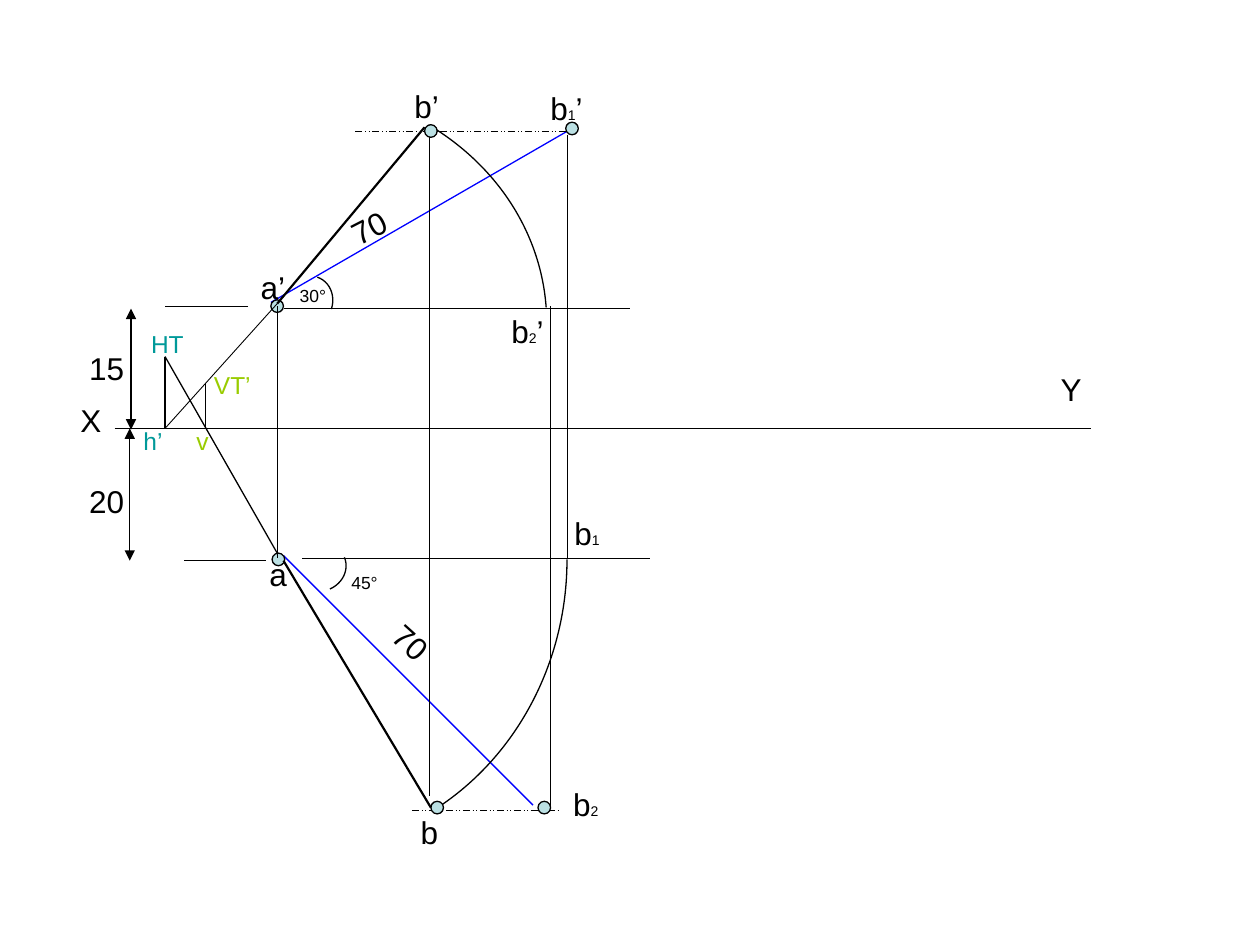
from dataclasses import dataclass

from lxml import etree
from pptx import Presentation
from pptx.dml.color import RGBColor
from pptx.enum.dml import MSO_LINE
from pptx.enum.shapes import MSO_CONNECTOR, MSO_SHAPE
from pptx.enum.text import MSO_AUTO_SIZE
from pptx.oxml.ns import qn
from pptx.util import Inches, Pt


@dataclass(frozen=True)
class Theme:
    font: str = "Arial"
    ink: str = "000000"
    true_length: str = "0000FF"
    horizontal_trace: str = "009999"
    vertical_trace: str = "99CC00"
    dot: str = "BBE0E3"
    label: int = 18
    trace: int = 14
    angle: int = 10
    subscript: int = 8
    thin: float = 0.5
    normal: float = 0.75
    bold: float = 1.25


THEME = Theme()
DOT_SIZE = 0.1
AXIS = 3.4

# Lines: start x, start y, end x, end y
LINES_BEHIND = {
    "normal": [
        (0.91, AXIS, 8.66, AXIS),
        (1.97, 2.43, 1.31, 2.43),
        (2.11, 4.45, 1.46, 4.45),
    ],
    "dimension": [(1.04, 2.45, 1.04, 3.41), (1.03, AXIS, 1.03, 4.45)],
    "true_length": [(2.15, 2.4, 4.54, 1.02), (2.25, 4.41, 4.23, 6.39)],
    "thin": [
        (2.25, 2.45, 5, 2.45),
        (2.4, 4.43, 5.16, 4.43),
        (4.5, 1.07, 4.5, 4.43),
        (3.41, 1.04, 3.41, 6.32),
        (4.37, 2.43, 4.37, 6.4),
    ],
    "locus": [(3.27, 6.43, 4.45, 6.43), (2.82, 1.04, 4.59, 1.04)],
}
LINES_FRONT = {
    "bold": [(2.25, 4.45, 3.42, 6.41), (2.2, 2.41, 3.37, 1.01)],
    "normal": [
        (2.2, 2.43, 2.2, 4.43),
        (2.2, 4.39, 1.31, 2.83),
        (1.31, AXIS, 1.31, 2.83),
        (1.63, AXIS, 1.63, 3.04),
    ],
    "thin": [(2.2, 2.41, 1.31, AXIS)],
}
LINE_STYLES = {
    "normal": (THEME.ink, THEME.normal),
    "dimension": (THEME.ink, THEME.normal),
    "true_length": (THEME.true_length, THEME.normal),
    "thin": (THEME.ink, THEME.thin),
    "locus": (THEME.ink, THEME.thin),
    "bold": (THEME.ink, THEME.bold),
}

# Arcs: left, top, width, height, rotation, start angle, end angle
ARCS = [
    (2.27, 2.19, 0.37, 0.41, 18.3, 270, 0),
    (2.36, 4.3, 0.37, 0.41, 66.7, 270, 0),
    (0.04, 2.29, 4.62, 4.3, 90, 270, 330.7),
    (0, 0.67, 4.34, 3.85, 355.9, 311.6, 0),
]

# Dots: left, top
DOTS = [(2.15, 2.38), (4.49, 0.97), (2.16, 4.39), (4.27, 6.36), (3.42, 6.36), (3.37, 0.99)]

# Labels: text with "_" before a subscript digit, left, top, width, rotation
POINT_LABELS = [
    ("X", 0.54, 3.13, 0.33, 0),
    ("Y", 8.32, 2.89, 0.33, 0),
    ("15", 0.61, 2.72, 0.66, 0),
    ("20", 0.61, 3.78, 0.66, 0),
    ("70", 2.68, 1.56, 0.66, 332.9),
    ("70", 3, 4.96, 0.66, 42.1),
    ("a’", 1.97, 2.08, 0.44, 0),
    ("a", 2.04, 4.36, 0.44, 0),
    ("b’", 3.19, 0.64, 0.44, 0),
    ("b", 3.24, 6.4, 0.54, 0),
    ("b_1’", 4.27, 0.66, 0.54, 0),
    ("b_2’", 3.96, 2.43, 0.54, 0),
    ("b_1", 4.46, 4.03, 0.54, 0),
    ("b_2", 4.45, 6.18, 0.54, 0),
]
HORIZONTAL_TRACE_LABELS = [("h’", 1.04, 3.33, 0.42, 0), ("HT", 1.1, 2.56, 0.48, 0)]
VERTICAL_TRACE_LABELS = [("v", 1.46, 3.33, 0.42, 0), ("VT’", 1.6, 2.89, 0.57, 0)]
ANGLE_LABELS = [("30°", 2.28, 2.21, 0.41, 0), ("45°", 2.69, 4.49, 0.41, 0)]

# Label groups: labels, size, colour, box height, wrap
LABEL_GROUPS = [
    (POINT_LABELS, THEME.label, THEME.ink, 0.4, True),
    (HORIZONTAL_TRACE_LABELS, THEME.trace, THEME.horizontal_trace, 0.34, True),
    (VERTICAL_TRACE_LABELS, THEME.trace, THEME.vertical_trace, 0.34, True),
    (ANGLE_LABELS, THEME.angle, THEME.ink, 0.27, False),
]


def set_line(shape, colour, width):
    shape.line.color.rgb = RGBColor.from_string(colour)
    shape.line.width = Pt(width)


def add_lines(page, groups):
    for style, lines in groups.items():
        for ends in lines:
            line = page.shapes.add_connector(MSO_CONNECTOR.STRAIGHT, *map(Inches, ends))
            set_line(line, *LINE_STYLES[style])
            properties = line._element.spPr
            etree.SubElement(properties, qn("a:effectLst"))
            if style == "locus":
                line.line.dash_style = MSO_LINE.DASH_DOT_DOT
            if style == "dimension":
                for arrowhead in ("a:headEnd", "a:tailEnd"):
                    etree.SubElement(properties.find(qn("a:ln")), qn(arrowhead), type="triangle")


def add_arc(page, left, top, width, height, rotation, start, end):
    """Draw clockwise from start to end, in degrees before rotation."""
    arc = page.shapes.add_shape(MSO_SHAPE.ARC, *map(Inches, (left, top, width, height)))
    arc.rotation = rotation
    # One degree is 60000 units, and an adjustment of 1 is 100000 units.
    arc.adjustments[0], arc.adjustments[1] = start * 0.6, end * 0.6
    arc.shadow.inherit = False
    arc.fill.background()
    set_line(arc, THEME.ink, THEME.normal)


def add_dot(page, left, top):
    dot = page.shapes.add_shape(MSO_SHAPE.OVAL, *map(Inches, (left, top, DOT_SIZE, DOT_SIZE)))
    dot.shadow.inherit = False
    dot.fill.solid()
    dot.fill.fore_color.rgb = RGBColor.from_string(THEME.dot)
    set_line(dot, THEME.ink, THEME.normal)


def add_label(page, label, size, colour, height, wrap):
    text, left, top, width, rotation = label
    box = page.shapes.add_textbox(*map(Inches, (left, top, width, height)))
    box.rotation = rotation
    box.text_frame.word_wrap = wrap
    box.text_frame.auto_size = MSO_AUTO_SIZE.SHAPE_TO_FIT_TEXT
    paragraph = box.text_frame.paragraphs[0]
    paragraph.font.name = THEME.font
    paragraph.font.size = Pt(size)
    paragraph.font.color.rgb = RGBColor.from_string(colour)
    base, _, rest = text.partition("_")
    for part, part_size in ((base, size), (rest[:1], THEME.subscript), (rest[1:], size)):
        if part:
            span = paragraph.add_run()
            span.text = part
            if part_size != size:
                span.font.size = Pt(part_size)


def main():
    deck = Presentation()
    deck.slide_width, deck.slide_height = Inches(10), Inches(7.5)
    page = deck.slides.add_slide(deck.slide_layouts[6])
    add_lines(page, LINES_BEHIND)
    for arc in ARCS:
        add_arc(page, *arc)
    for dot in DOTS:
        add_dot(page, *dot)
    add_lines(page, LINES_FRONT)
    for labels, *style in LABEL_GROUPS:
        for label in labels:
            add_label(page, label, *style)
    deck.save("out.pptx")


if __name__ == "__main__":
    main()
